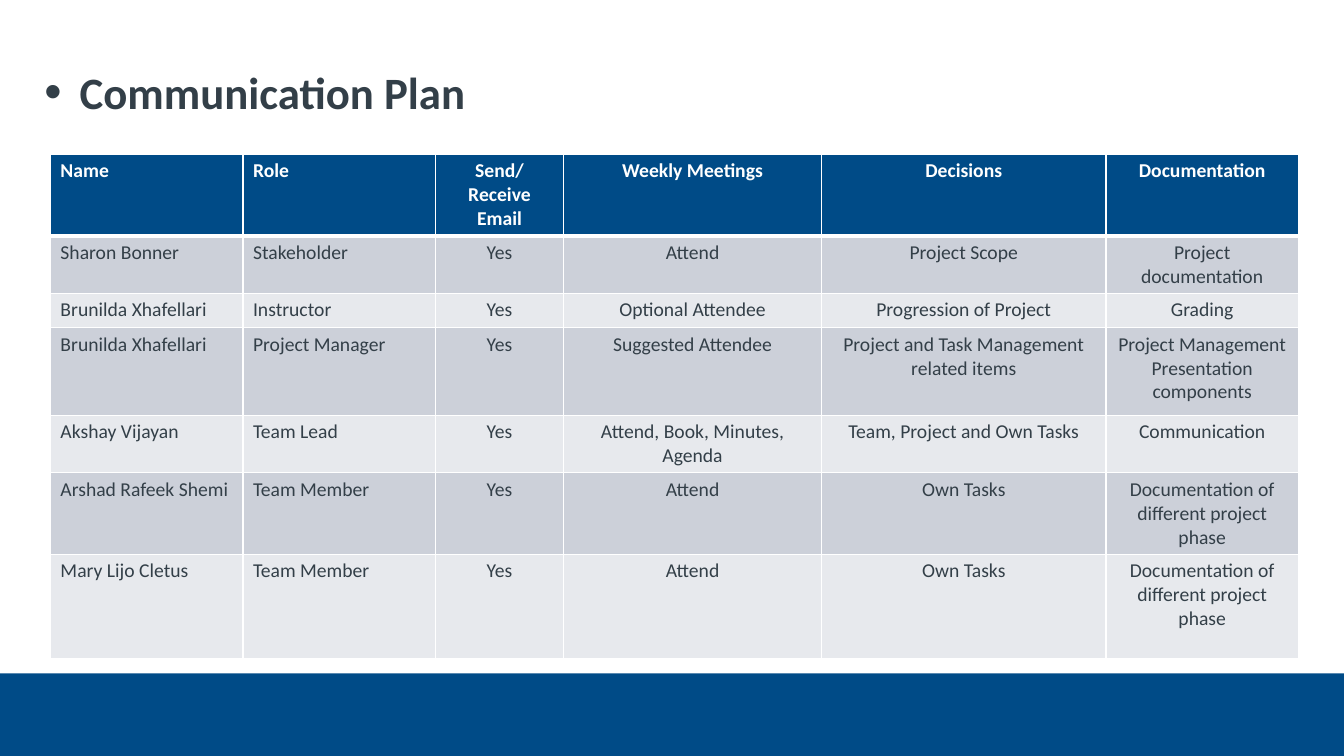
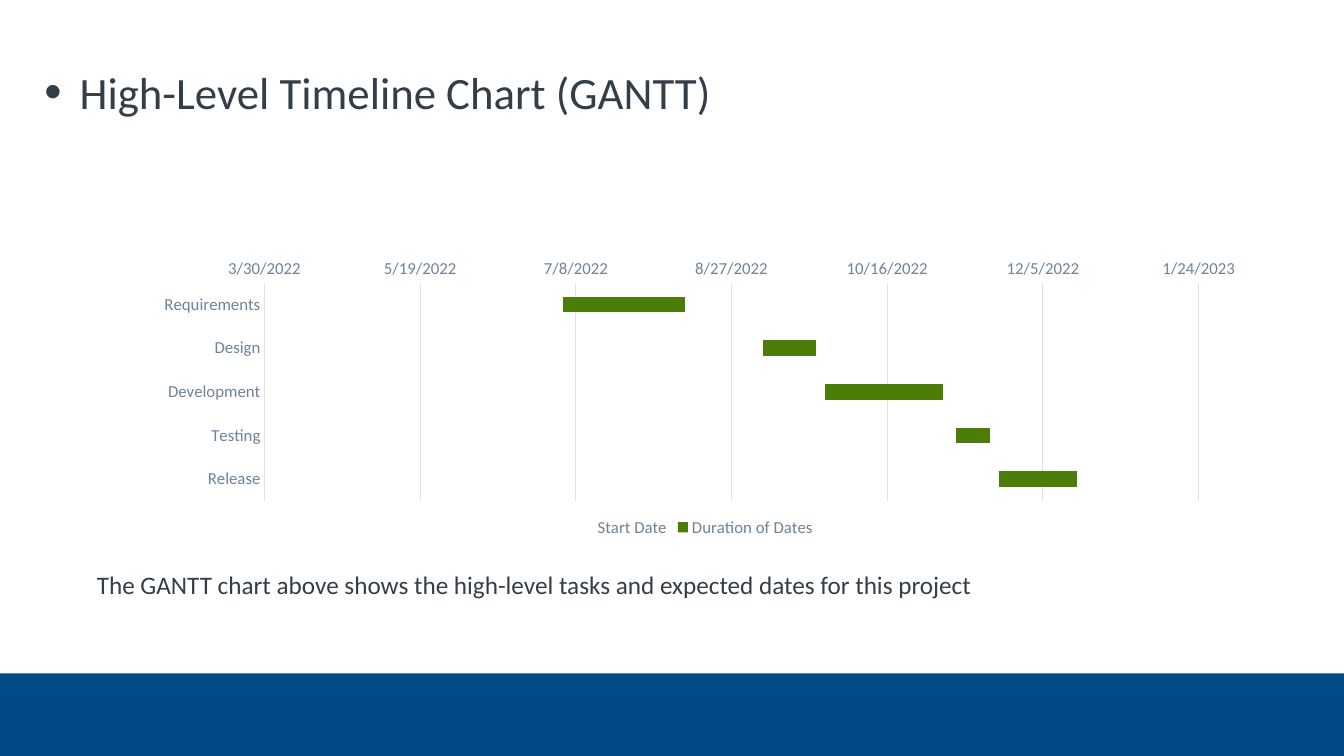
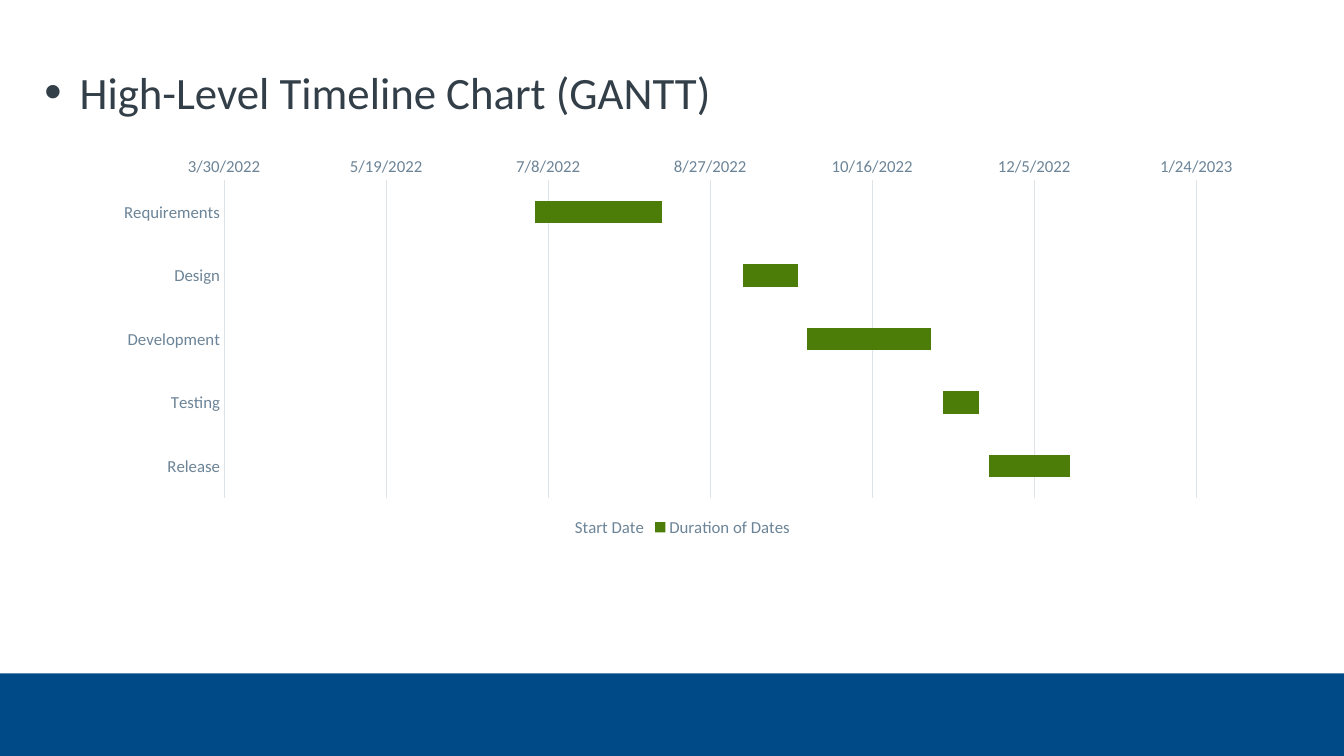
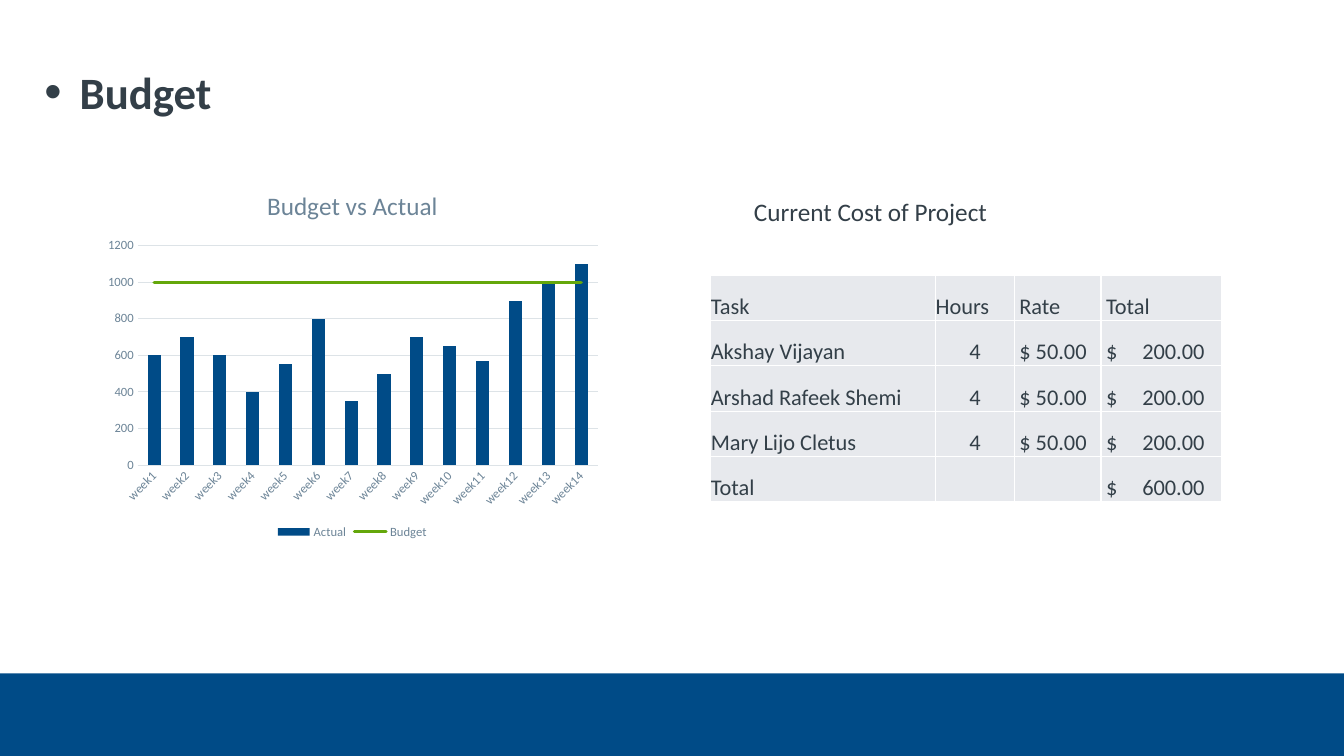
from lxml.etree import SubElement
from pptx import Presentation
from pptx.chart.data import CategoryChartData
from pptx.dml.color import RGBColor
from pptx.enum.chart import XL_CHART_TYPE as ChartType, XL_LEGEND_POSITION as LegendPos, XL_TICK_MARK as Tick
from pptx.enum.shapes import MSO_SHAPE as Shape
from pptx.enum.text import MSO_ANCHOR as Anchor, PP_ALIGN as Align
from pptx.oxml.ns import qn
from pptx.util import Inches, Pt

WIDTH, HEIGHT = 13.33, 7.5
FONT = "Calibri"
NAVY, INK, SLATE, GRID = "004B87", "333F48", "6C8497", "DDE3E7"
WHITE, PALE, MID = "FFFFFF", "E7E9ED", "CCD0D9"
GREEN, LIME = "4B7D08", "64A70B"

COMMUNICATION = [
    ("Name", "Role", "Send/Receive Email", "Weekly Meetings", "Decisions", "Documentation"),
    ("Sharon Bonner", "Stakeholder", "Yes", "Attend", "Project Scope", "Project documentation"),
    ("Brunilda Xhafellari", "Instructor", "Yes", "Optional Attendee", "Progression of Project", "Grading"),
    ("Brunilda Xhafellari", "Project Manager", "Yes", "Suggested Attendee",
     "Project and Task Management related items", "Project Management Presentation components"),
    ("Akshay Vijayan", "Team Lead", "Yes", "Attend, Book, Minutes, Agenda",
     "Team, Project and Own Tasks", "Communication"),
    ("Arshad Rafeek Shemi", "Team Member", "Yes", "Attend", "Own Tasks",
     "Documentation of different project phase"),
    ("Mary Lijo Cletus", "Team Member", "Yes", "Attend", "Own Tasks",
     "Documentation of different project phase"),
]
COMMUNICATION_COLS = (1.91, 1.91, 1.27, 2.56, 2.82, 1.91)
COMMUNICATION_ROWS = (0.81, 0.57, 0.34, 0.87, 0.57, 0.81, 1.04)

TIMELINE_TITLE = "High-Level Timeline Chart (GANTT)"
TIMELINE_NOTE = "The GANTT chart above shows the high-level tasks and expected dates for this project"
PHASES = ("Requirements", "Design", "Development", "Testing", "Release")
TIMELINE = [
    ("Start Date", (44746, 44810, 44830, 44872, 44886)),
    ("Duration of Dates", (39, 17, 38, 11, 25)),
]
TIMELINE_SPAN = (44650, 44950, 50)

WEEKS = [f"week{n}" for n in range(1, 15)]
SPENDING = [
    ("Actual", (600, 700, 600, 400, 550, 800, 350, 500, 700, 650, 570, 900, 1000, 1100)),
    ("Budget", (1000,) * len(WEEKS)),
]
MEMBERS = ("Akshay Vijayan", "Arshad Rafeek Shemi", "Mary Lijo Cletus")
COSTS = [
    ("Task", "Hours", "Rate", "Total"),
    *((member, "4", "$ 50.00", "$\t200.00") for member in MEMBERS),
    ("Total", "", "", "$\t600.00"),
]
COST_COLS = (2.23, 0.78, 0.86, 1.2)
COST_ROWS = (0.45,) * len(COSTS)


def color(hex_code):
    return RGBColor.from_string(hex_code)


def box(*lengths):
    return [Inches(length) for length in lengths]


def style(font, size, hex_code, bold=False):
    font.name, font.size, font.bold = FONT, Pt(size), bold
    font.color.rgb = color(hex_code)


def add_text(slide, place, text, size, bold=False, inset=0):
    frame = slide.shapes.add_textbox(*box(*place)).text_frame
    frame.word_wrap = True
    if not inset:
        frame.margin_left = frame.margin_right = frame.margin_top = frame.margin_bottom = 0
    frame.text = text
    style(frame.paragraphs[0].runs[0].font, size, INK, bold)
    return frame.paragraphs[0]


def add_band(layout, slide):
    top = 6.68
    band = slide.shapes.add_shape(Shape.RECTANGLE, *box(0, top, WIDTH, HEIGHT - top))
    band.shadow.inherit = False
    band.fill.solid()
    band.fill.fore_color.rgb = color(NAVY)
    band.line.fill.background()
    layout.shapes.element.append(band.element)


def add_title(slide, text, bold):
    paragraph = add_text(slide, (0.44, 0.64, 11.99, 0.63), text, 32, bold)
    props = paragraph._p.get_or_add_pPr()
    props.set("marL", str(Inches(0.35)))
    props.set("indent", str(-Inches(0.35)))
    SubElement(props, qn("a:buSzPct"), val="110000")
    SubElement(props, qn("a:buFont"), typeface="Arial")
    SubElement(props, qn("a:buChar"), char="•")


def set_borders(cell, top=1, bottom=1):
    props = cell._tc.get_or_add_tcPr()
    for index, (side, width) in enumerate((("L", 1), ("R", 1), ("T", top), ("B", bottom))):
        line = SubElement(props, qn(f"a:ln{side}"), w=str(Pt(width)))
        SubElement(SubElement(line, qn("a:solidFill")), qn("a:srgbClr"), val=WHITE)
        props.insert(index, line)


def add_grid(slide, left, top, rows, widths, heights, decorate):
    frame = slide.shapes.add_table(len(rows), len(widths), *box(left, top, sum(widths), sum(heights)))
    table = frame.table
    table.first_row = table.horz_banding = False
    for column, width in zip(table.columns, widths):
        column.width = Inches(width)
    for row, height in zip(table.rows, heights):
        row.height = Inches(height)
    for r, row in enumerate(rows):
        for c, text in enumerate(row):
            cell = table.cell(r, c)
            cell.text = text
            fill, size, ink, bold, align = decorate(cell, r, c)
            cell.fill.solid()
            cell.fill.fore_color.rgb = color(fill)
            paragraph = cell.text_frame.paragraphs[0]
            paragraph.alignment = align
            for run in paragraph.runs:
                style(run.font, size, ink, bold)


def communication_cell(cell, r, c):
    set_borders(cell, 3 if r == 1 else 1, 3 if r == 0 else 1)
    align = Align.LEFT if c < 2 else Align.CENTER
    if r == 0:
        return NAVY, 14, WHITE, True, align
    return (MID if r % 2 else PALE), 14, INK, False, align


def cost_cell(cell, r, c):
    set_borders(cell)
    cell.vertical_anchor = Anchor.BOTTOM
    cell.margin_left = Inches(0.05 if c > 1 else 0)
    cell.margin_right = cell.margin_top = cell.margin_bottom = 0
    if "\t" in cell.text:
        props = cell.text_frame.paragraphs[0]._p.get_or_add_pPr()
        stops = SubElement(props, qn("a:tabLst"))
        SubElement(stops, qn("a:tab"), pos=str(Inches(0.36)), algn="l")
    return PALE, 16, INK, False, Align.CENTER if c == 1 and r else Align.LEFT


def place_plot(chart, x, y, w, h):
    plot_area = chart._chartSpace.chart.plotArea
    for old in plot_area.findall(qn("c:layout")):
        plot_area.remove(old)
    layout = SubElement(plot_area, qn("c:layout"))
    plot_area.insert(0, layout)
    manual = SubElement(layout, qn("c:manualLayout"))
    for tag, value in (("layoutTarget", "inner"), ("xMode", "edge"), ("yMode", "edge"),
                       ("x", x), ("y", y), ("w", w), ("h", h)):
        SubElement(manual, qn(f"c:{tag}"), val=str(value))


def add_bars(slide, kind, place, plot_share, categories, series, size, gap):
    data = CategoryChartData()
    data.categories = categories
    for name, values in series:
        data.add_series(name, values)
    chart = slide.shapes.add_chart(kind, *box(*place), data).chart
    style(chart.font, 10, INK)
    chart.has_title = False
    chart.has_legend = True
    chart.legend.position = LegendPos.BOTTOM
    chart.legend.include_in_layout = False
    style(chart.legend.font, size, SLATE)
    chart.plots[0].gap_width = gap
    chart.plots[0].vary_by_categories = False
    for axis in (chart.category_axis, chart.value_axis):
        axis.major_tick_mark = axis.minor_tick_mark = Tick.NONE
        style(axis.tick_labels.font, size, SLATE)
    grid_lines = chart.value_axis.major_gridlines.format.line
    for line in (chart.category_axis.format.line, grid_lines):
        line.color.rgb = color(GRID)
        line.width = Pt(0.75)
    chart.value_axis.format.line.fill.background()
    place_plot(chart, *plot_share)
    return chart


def paint(series, hex_code):
    series.format.fill.solid()
    series.format.fill.fore_color.rgb = color(hex_code)


def add_timeline(slide, place, plot_share):
    chart = add_bars(slide, ChartType.BAR_STACKED, place, plot_share, PHASES, TIMELINE, 12, 182)
    chart.plots[0].overlap = 100
    chart.category_axis.reverse_order = True
    dates = chart.value_axis
    dates.minimum_scale, dates.maximum_scale, dates.major_unit = TIMELINE_SPAN
    dates.tick_labels.number_format = "m/d/yyyy"
    dates.tick_labels.number_format_is_linked = False
    start, duration = chart.plots[0].series
    start.format.fill.background()
    paint(duration, GREEN)


def turn_into_line(chart, series):
    line = series.format.line
    line.color.rgb = color(LIME)
    line.width = Pt(2.25)
    ser = series._element
    ser.find(".//" + qn("a:ln")).set("cap", "rnd")
    for bar_only in ser.findall(qn("c:invertIfNegative")):
        ser.remove(bar_only)
    marker = SubElement(ser, qn("c:marker"))
    SubElement(marker, qn("c:symbol"), val="none")
    ser.find(qn("c:spPr")).addnext(marker)
    SubElement(ser, qn("c:smooth"), val="0")
    plot_area = chart._chartSpace.chart.plotArea
    bars = plot_area.find(qn("c:barChart"))
    line_plot = SubElement(plot_area, qn("c:lineChart"))
    bars.addnext(line_plot)
    SubElement(line_plot, qn("c:grouping"), val="standard")
    SubElement(line_plot, qn("c:varyColors"), val="0")
    line_plot.append(ser)
    SubElement(line_plot, qn("c:marker"), val="1")
    for axis in bars.findall(qn("c:axId")):
        SubElement(line_plot, qn("c:axId"), val=axis.get("val"))


def add_spending(slide):
    chart = add_bars(slide, ChartType.COLUMN_CLUSTERED, (0.96, 1.7, 5.07, 3.69),
                     (0.08, 0.2, 0.9, 0.59), WEEKS, SPENDING, 9, 150)
    chart.has_title = True
    heading = chart.chart_title.text_frame
    heading.text = "Budget vs Actual"
    style(heading.paragraphs[0].runs[0].font, 18, SLATE)
    chart.chart_title.include_in_layout = False
    chart.value_axis.minimum_scale, chart.value_axis.maximum_scale = 0, 1200
    chart.value_axis.major_unit = 200
    labels = chart.category_axis._element.find(qn("c:txPr"))
    labels.find(qn("a:bodyPr")).set("rot", "-2700000")
    actual, budget = chart.plots[0].series
    paint(actual, NAVY)
    turn_into_line(chart, budget)


def main():
    deck = Presentation()
    deck.slide_width, deck.slide_height = box(WIDTH, HEIGHT)
    blank = deck.slide_layouts[6]
    titles = (("Communication Plan", True), (TIMELINE_TITLE, False), (TIMELINE_TITLE, False), ("Budget", True))
    slides = [deck.slides.add_slide(blank) for _ in titles]
    add_band(blank, slides[0])
    for slide, (title, bold) in zip(slides, titles):
        add_title(slide, title, bold)
    plan, noted_timeline, timeline, budget = slides

    add_grid(plan, 0.5, 1.53, COMMUNICATION, COMMUNICATION_COLS, COMMUNICATION_ROWS, communication_cell)

    add_text(noted_timeline, (0.96, 5.65, 11.48, 0.81), TIMELINE_NOTE, 18)
    add_timeline(noted_timeline, (1.41, 2.52, 11.03, 2.85), (0.11, 0.1, 0.84, 0.76))
    add_timeline(timeline, (0.96, 1.48, 11.48, 3.89), (0.11, 0.08, 0.84, 0.81))

    add_text(budget, (7.38, 1.9, 4.4, 0.4), "Current Cost of Project", 18, inset=0.1)
    add_grid(budget, 7.05, 2.73, COSTS, COST_COLS, COST_ROWS, cost_cell)
    add_spending(budget)
    deck.save("out.pptx")


if __name__ == "__main__":
    main()
